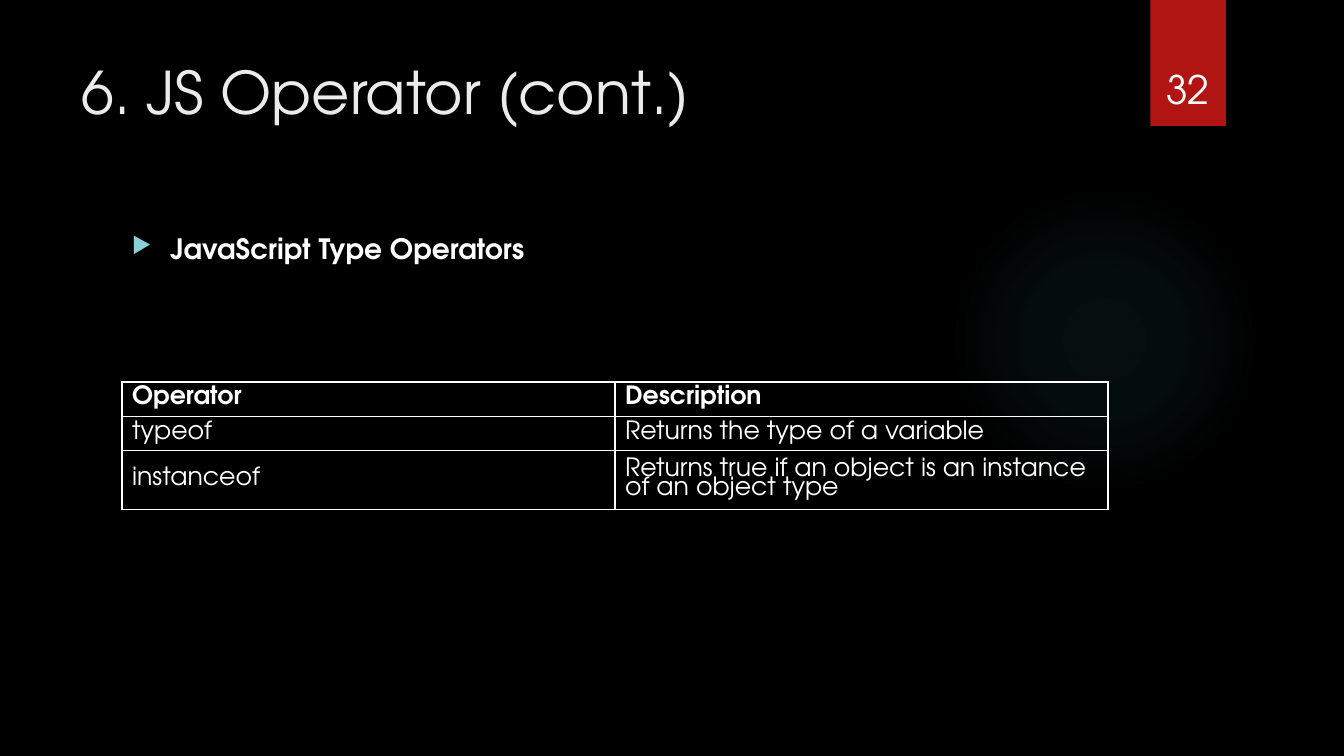
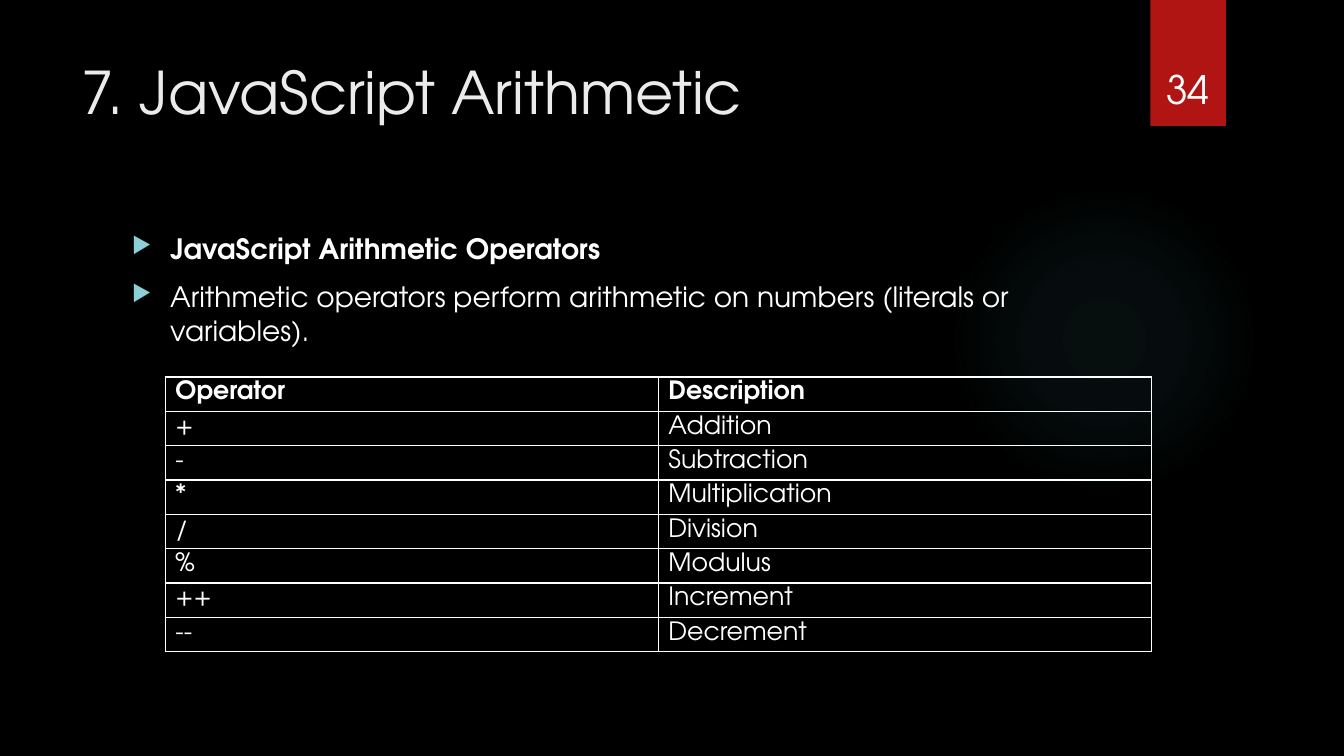
from dataclasses import dataclass

from pptx import Presentation
from pptx.dml.color import RGBColor
from pptx.enum.shapes import MSO_SHAPE
from pptx.enum.text import MSO_ANCHOR, PP_ALIGN
from pptx.oxml import parse_xml
from pptx.oxml.ns import nsdecls, qn
from pptx.util import Inches, Pt

OVAL, RECTANGLE = MSO_SHAPE.OVAL, MSO_SHAPE.RECTANGLE
TOP, MIDDLE, BOTTOM = MSO_ANCHOR.TOP, MSO_ANCHOR.MIDDLE, MSO_ANCHOR.BOTTOM
LEFT, CENTER = PP_ALIGN.LEFT, PP_ALIGN.CENTER

# Content
SLIDES = [
    {
        "number": "32",
        "title": "6. JS Operator (cont.)",
        "heading": "JavaScript Type Operators",
        "points": [],
        "table_at": (1.21, 3.79),
        "rows": [
            ("Operator", "Description"),
            ("typeof", "Returns the type of a variable"),
            ("instanceof", "Returns true if an object is an instance of an object type"),
        ],
    },
    {
        "number": "34",
        "title": "7. JavaScript Arithmetic",
        "heading": "JavaScript Arithmetic Operators",
        "points": ["Arithmetic operators perform arithmetic on numbers (literals or variables)."],
        "table_at": (1.64, 3.74),
        "rows": [
            ("Operator", "Description"),
            ("+", "Addition"),
            ("-", "Subtraction"),
            ("*", "Multiplication"),
            ("/", "Division"),
            ("%", "Modulus"),
            ("++", "Increment"),
            ("--", "Decrement"),
        ],
    },
]


@dataclass(frozen=True)
class Theme:
    font: str = "TeX Gyre Adventor"
    background: str = "000000"
    text: str = "FFFFFF"
    title: str = "EBEBEB"
    bullet: str = "8AD0D6"
    ribbon: str = "B01513"
    glow: str = "50B9C1"
    title_size: int = 42
    number_size: int = 28
    body_size: int = 20
    table_size: int = 18


THEME = Theme()

# Layout, in inches
GLOW_BOX = (9.41, 1.83, 3.08, 3.08)
RIBBON_BOX = (11.41, 0, 0.75, 1.25)
TITLE_BOX = (0.71, 0.5, 10.29, 1.53)
BODY_BOX = (1.21, 2.25, 9.78, 4.59)
NUMBER_BOX = (11.32, 0.32, 0.92, 0.84)
COLUMN_WIDTH = 4.89
ROW_HEIGHT = 0.33
BULLET_INDENT = 0.38
GLOW_STOPS = [(0, 7), (36, 6), (69, 0)]  # position and opacity, percent


def inches(values):
    return [Inches(value) for value in values]


def add_run(paragraph, text, size, color=THEME.text, bold=False):
    run = paragraph.add_run()
    run.text = text
    run.font.name = THEME.font
    run.font.size = Pt(size)
    run.font.bold = bold
    run.font.color.rgb = RGBColor.from_string(color)


def add_text_frame(slide, box, anchor):
    frame = slide.shapes.add_textbox(*inches(box)).text_frame
    frame.word_wrap = True
    frame.vertical_anchor = anchor
    return frame


def add_line(slide, box, text, size, color, anchor, alignment):
    paragraph = add_text_frame(slide, box, anchor).paragraphs[0]
    paragraph.alignment = alignment
    add_run(paragraph, text, size, color)


def add_plain_shape(slide, kind, box):
    shape = slide.shapes.add_shape(kind, *inches(box))
    shape.shadow.inherit = False
    shape.fill.background()
    shape.line.fill.background()
    return shape


def add_glow(slide):
    properties = add_plain_shape(slide, OVAL, GLOW_BOX)._element.spPr
    stops = "".join(
        f'<a:gs pos="{position * 1000}"><a:srgbClr val="{THEME.glow}">'
        f'<a:alpha val="{opacity * 1000}"/></a:srgbClr></a:gs>'
        for position, opacity in GLOW_STOPS
    )
    gradient = parse_xml(
        f'<a:gradFill {nsdecls("a")} rotWithShape="1"><a:gsLst>{stops}</a:gsLst>'
        '<a:path path="circle"><a:fillToRect l="50000" t="50000" r="50000" b="50000"/>'
        "</a:path></a:gradFill>"
    )
    properties.replace(properties.find(qn("a:noFill")), gradient)


def add_ribbon(slide):
    ribbon = add_plain_shape(slide, RECTANGLE, RIBBON_BOX)
    ribbon.fill.solid()
    ribbon.fill.fore_color.rgb = RGBColor.from_string(THEME.ribbon)
    ribbon._element.spPr.find(qn("a:effectLst")).append(parse_xml(
        f'<a:outerShdw {nsdecls("a")} blurRad="{Pt(3)}" dist="{Pt(2)}" dir="5400000" '
        'rotWithShape="0"><a:srgbClr val="000000"><a:alpha val="45000"/></a:srgbClr>'
        "</a:outerShdw>"
    ))


def add_bullet(paragraph):
    paragraph.space_before = Pt(10)
    properties = paragraph._p.get_or_add_pPr()
    properties.set("marL", str(Inches(BULLET_INDENT)))
    properties.set("indent", str(-Inches(BULLET_INDENT)))
    for markup in (
        f'<a:buClr {nsdecls("a")}><a:srgbClr val="{THEME.bullet}"/></a:buClr>',
        f'<a:buSzPct {nsdecls("a")} val="80000"/>',
        f'<a:buChar {nsdecls("a")} char="\u25b6"/>',
    ):
        properties.append(parse_xml(markup))


def add_body(slide, heading, points):
    frame = add_text_frame(slide, BODY_BOX, TOP)
    for index, text in enumerate([heading, *points]):
        paragraph = frame.add_paragraph() if index else frame.paragraphs[0]
        add_bullet(paragraph)
        add_run(paragraph, text, THEME.body_size, bold=index == 0)


def add_borders(cell):
    properties = cell._tc.get_or_add_tcPr()
    for index, side in enumerate(("lnL", "lnR", "lnT", "lnB")):
        properties.insert(index, parse_xml(
            f'<a:{side} {nsdecls("a")} w="{Pt(1)}"><a:solidFill>'
            f'<a:srgbClr val="{THEME.text}"/></a:solidFill></a:{side}>'
        ))


def add_operator_table(slide, position, rows):
    columns = len(rows[0])
    size = (columns * COLUMN_WIDTH, len(rows) * ROW_HEIGHT)
    table = slide.shapes.add_table(len(rows), columns, *inches(position + size)).table
    table.first_row = False
    table.horz_banding = False
    for row_index, row in enumerate(rows):
        for column_index, text in enumerate(row):
            cell = table.cell(row_index, column_index)
            cell.fill.background()
            cell.vertical_anchor = MIDDLE
            add_borders(cell)
            paragraph = cell.text_frame.paragraphs[0]
            paragraph.line_spacing = 0.8
            add_run(paragraph, text, THEME.table_size, bold=row_index == 0)


# Build
presentation = Presentation()
presentation.slide_width = Inches(13.33)
presentation.slide_height = Inches(7.5)
blank_layout = presentation.slide_layouts[6]

for content in SLIDES:
    slide = presentation.slides.add_slide(blank_layout)
    slide.background.fill.solid()
    slide.background.fill.fore_color.rgb = RGBColor.from_string(THEME.background)
    add_glow(slide)
    add_ribbon(slide)
    add_line(slide, TITLE_BOX, content["title"], THEME.title_size, THEME.title, TOP, LEFT)
    add_body(slide, content["heading"], content["points"])
    add_line(slide, NUMBER_BOX, content["number"], THEME.number_size, THEME.text, BOTTOM, CENTER)
    add_operator_table(slide, content["table_at"], content["rows"])

presentation.save("out.pptx")
